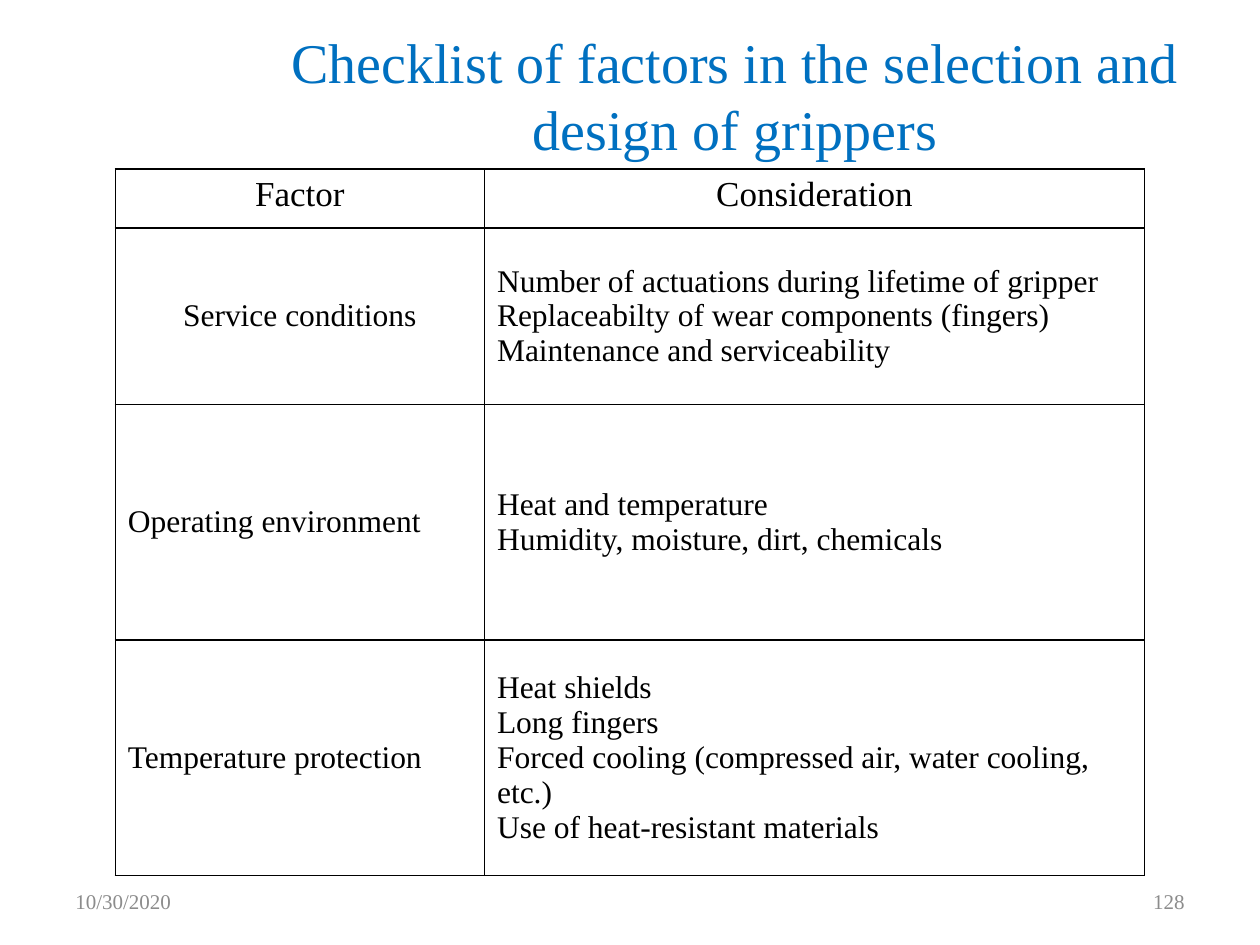
from lxml.etree import SubElement
from pptx import Presentation
from pptx.dml.color import RGBColor
from pptx.enum.text import MSO_ANCHOR as Anchor, MSO_AUTO_SIZE as AutoSize, PP_ALIGN as Align
from pptx.oxml.ns import qn
from pptx.util import Inches, Pt

FONT = "Times New Roman"
BLACK, BLUE, GREY = "000000", "0070C0", "8C8C8C"
SLIDE_W, SLIDE_H = 10, 7.5
MARGIN = 0.05 * SLIDE_W

HEADINGS = ["Factor", "Consideration"]
FACTORS = [
    ("Service conditions", Align.CENTER,
     ["Number of actuations during lifetime of gripper",
      "Replaceabilty of wear components (fingers)",
      "Maintenance and serviceability"]),
    ("Operating environment", Align.LEFT,
     ["Heat and temperature",
      "Humidity, moisture, dirt, chemicals"]),
    ("Temperature protection", Align.LEFT,
     ["Heat shields",
      "Long fingers",
      "Forced cooling (compressed air, water cooling, etc.)",
      "Use of heat-resistant materials"]),
]
COLUMN_WIDTHS = [2.93, 5.24]
ROW_HEIGHTS = [0.47, 1.4, 1.87, 1.87]


def colour(hex_code):
    return RGBColor.from_string(hex_code)


def write(frame, lines, size=18, color=BLACK, align=Align.LEFT):
    """Put one paragraph per line into a text frame."""
    frame.word_wrap = True
    for i, line in enumerate(lines):
        paragraph = frame.add_paragraph() if i else frame.paragraphs[0]
        paragraph.alignment = align
        run = paragraph.add_run()
        run.text = line
        run.font.name = FONT
        run.font.size = Pt(size)
        run.font.color.rgb = colour(color)


def draw_borders(cell, color=BLACK, width=1):
    properties = cell._tc.get_or_add_tcPr()
    for side in ("a:lnL", "a:lnR", "a:lnT", "a:lnB"):
        line = SubElement(properties, qn(side), w=str(Pt(width)))
        fill = SubElement(line, qn("a:solidFill"))
        SubElement(fill, qn("a:srgbClr"), val=color)


def fill_cell(cell, lines, anchor=Anchor.MIDDLE, **text_format):
    draw_borders(cell)
    cell.fill.background()
    cell.vertical_anchor = anchor
    write(cell.text_frame, lines, **text_format)


def place_title(slide, left, top, width, height):
    title = slide.shapes.title
    title.left, title.top, title.width, title.height = map(Inches, (left, top, width, height))
    title.text_frame.auto_size = AutoSize.NONE
    title.text_frame.vertical_anchor = Anchor.TOP
    write(title.text_frame, ["Checklist of factors in the selection and design of grippers"],
          size=32, color=BLUE, align=Align.CENTER)


def place_checklist(slide, left, top):
    box = map(Inches, (left, top, sum(COLUMN_WIDTHS), sum(ROW_HEIGHTS)))
    table = slide.shapes.add_table(len(ROW_HEIGHTS), len(COLUMN_WIDTHS), *box).table
    table.horz_banding = False
    table.first_row = False
    for column, width in zip(table.columns, COLUMN_WIDTHS):
        column.width = Inches(width)
    for row, height in zip(table.rows, ROW_HEIGHTS):
        row.height = Inches(height)

    # Heading row
    for col, heading in enumerate(HEADINGS):
        fill_cell(table.cell(0, col), [heading], anchor=Anchor.TOP, size=20, align=Align.CENTER)

    # One row per factor
    for row, (factor, align, considerations) in enumerate(FACTORS, start=1):
        fill_cell(table.cell(row, 0), [factor], align=align)
        fill_cell(table.cell(row, 1), considerations)


def place_footer(slide, left, top, width, height):
    part_width = 2.33
    parts = [("10/30/2020", left, Align.LEFT),
             ("128", left + width - part_width, Align.RIGHT)]
    for text, part_left, align in parts:
        box = slide.shapes.add_textbox(*map(Inches, (part_left, top, part_width, height)))
        box.text_frame.vertical_anchor = Anchor.MIDDLE
        write(box.text_frame, [text], size=12, color=GREY, align=align)


def main():
    deck = Presentation()
    deck.slide_width, deck.slide_height = Inches(SLIDE_W), Inches(SLIDE_H)
    slide = deck.slides.add_slide(deck.slide_layouts[5])  # title only
    content_width = SLIDE_W - 2 * MARGIN

    place_footer(slide, MARGIN, 6.95, content_width, 0.4)
    place_checklist(slide, (SLIDE_W - sum(COLUMN_WIDTHS)) / 2, 1.34)
    place_title(slide, 2.17, 0.17, SLIDE_W - MARGIN - 2.17, 1.17)
    deck.save("out.pptx")


if __name__ == "__main__":
    main()
